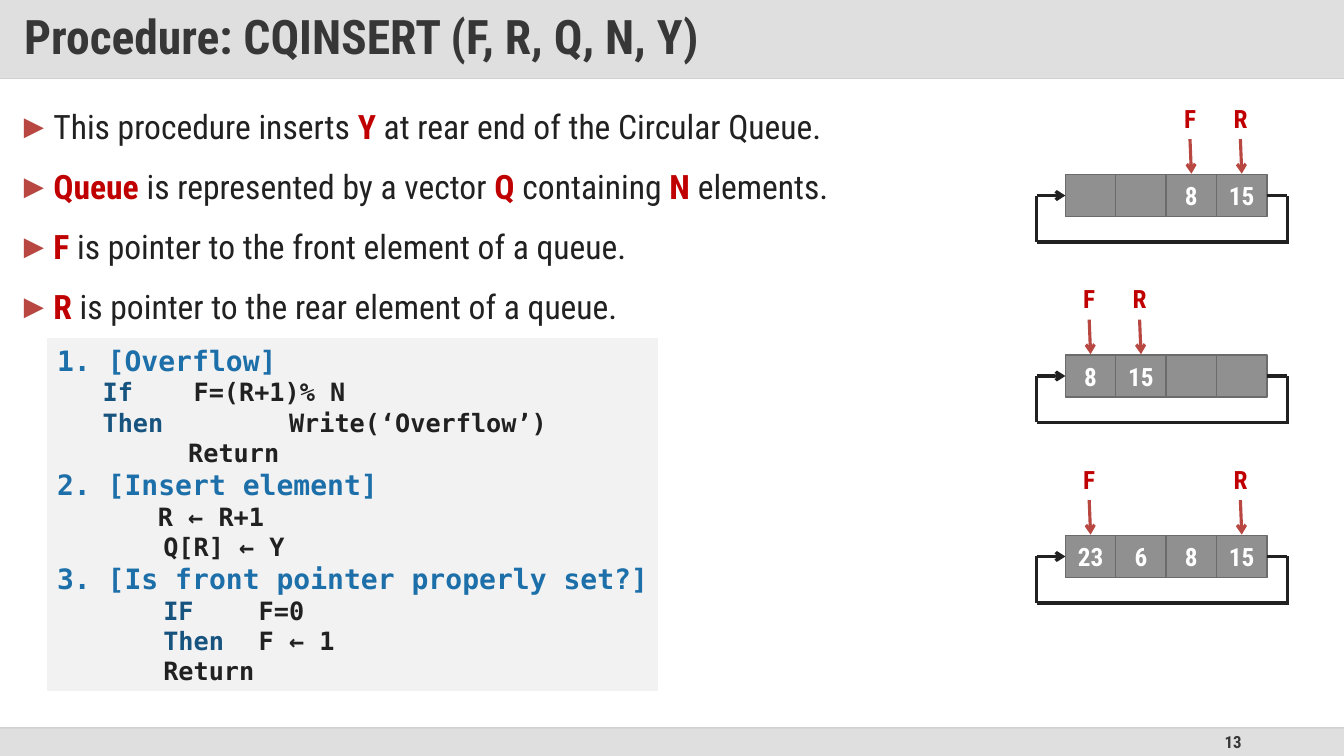
"""Build the slide on inserting into a circular queue."""
from lxml import etree
from pptx import Presentation
from pptx.dml.color import RGBColor
from pptx.enum.shapes import MSO_CONNECTOR, MSO_SHAPE
from pptx.enum.text import MSO_ANCHOR, PP_ALIGN
from pptx.oxml.ns import qn
from pptx.util import Pt

RECT = MSO_SHAPE.RECTANGLE
ROUND = MSO_SHAPE.ROUNDED_RECTANGLE
STRAIGHT = MSO_CONNECTOR.STRAIGHT
TOP, MIDDLE = MSO_ANCHOR.TOP, MSO_ANCHOR.MIDDLE
LEFT, CENTER = PP_ALIGN.LEFT, PP_ALIGN.CENTER
RIGHT, FULL = PP_ALIGN.RIGHT, PP_ALIGN.JUSTIFY

WHITE = RGBColor(0xFF, 0xFF, 0xFF)
PALE = RGBColor(0xF2, 0xF2, 0xF2)
BAR = RGBColor(0xDF, 0xDF, 0xDF)
RULE = RGBColor(0xD9, 0xD9, 0xD9)
SILVER = RGBColor(0xC0, 0xC0, 0xC0)
ASH = RGBColor(0xBF, 0xBF, 0xBF)
GRAY = RGBColor(0x90, 0x90, 0x90)
EDGE = RGBColor(0x6B, 0x6B, 0x6B)
DARK = RGBColor(0x37, 0x37, 0x37)
INK = RGBColor(0x21, 0x21, 0x21)
RED = RGBColor(0xC0, 0x00, 0x00)
BRICK = RGBColor(0xB8, 0x47, 0x42)
BLUE = RGBColor(0x1D, 0x6F, 0xA9)
NAVY = RGBColor(0x16, 0x53, 0x7F)
SANS, MONO = "Roboto Condensed", "DejaVu Sans Mono"

POINTS = [
    "This procedure inserts *Y* at rear end of the Circular Queue.",
    "*Queue *is represented by a vector *Q *containing *N *elements.",
    "*F *is pointer to the front element of a queue.",
    "*R *is pointer to the rear element of a queue.",
]
CODE = [
    "1. [Overflow]",
    "   *If*    F=(R+1)% N",
    "   *Then*\t  Write(‘Overflow’)",
    "\t  Return",
    "2. [Insert element]",
    "\tR ← R+1",
    "       Q[R] ← Y",
    "3. [Is front pointer properly set?]",
    "       *IF* \tF=0",
    "       *Then*\tF ← 1",
    "       Return",
]
RINGS = [
    (["", "", "8", "15"], 2, 3),
    (["8", "15", "", ""], 0, 1),
    (["23", "6", "8", "15"], 0, 3),
]


def write(para, text, size, color, face=SANS, bold=True, mark=RED):
    """Fill a paragraph; text between asterisks is bold in the mark colour."""
    for i, part in enumerate(text.split("*")):
        if part:
            run = para.add_run()
            run.text = part
            font = run.font
            font.name, font.size = face, Pt(size)
            font.bold = bold or i % 2 == 1
            font.color.rgb = mark if i % 2 else color


def draw(home, start, end, color, width, arrow=False):
    """Draw a straight line, with an arrowhead at its end if asked."""
    line = home.add_connector(STRAIGHT, *map(Pt, start + end))
    line.line.color.rgb = color
    line.line.width = Pt(width)
    if arrow:
        tip = etree.SubElement(line.line._get_or_add_ln(), qn("a:tailEnd"))
        tip.set("type", "arrow")
    etree.SubElement(line.element.spPr, qn("a:effectLst"))
    return line


prs = Presentation()
prs.slide_width, prs.slide_height = Pt(960), Pt(540)
slide = prs.slides.add_slide(prs.slide_layouts[6])
shapes = slide.shapes

foot = shapes.add_shape(ROUND, Pt(0), Pt(519.84), Pt(960), Pt(20.16))
foot.adjustments[0] = 0
page = shapes.add_textbox(Pt(678), Pt(519.84), Pt(216), Pt(20.16))
page.text_frame.vertical_anchor = MIDDLE
page.text_frame.word_wrap = True
para = page.text_frame.paragraphs[0]
para.alignment = RIGHT
write(para, "13", 12, DARK)
draw(shapes, (0, 56.2), (960, 56.2), RULE, 1)
base = draw(shapes, (0, 519.84), (960, 519.84), ASH, 1)

head = shapes.add_shape(RECT, Pt(0), Pt(0), Pt(960), Pt(56.2))
body = shapes.add_textbox(Pt(10), Pt(68), Pt(940), Pt(440))
panel = shapes.add_shape(RECT, Pt(33.7), Pt(241.5), Pt(436.3), Pt(252))
for box, color in ((foot, BAR), (head, SILVER), (panel, PALE)):
    box.shadow.inherit = False
    box.fill.solid()
    box.fill.fore_color.rgb = color
    box.line.fill.background()
for item, share in ((head, "50000"), (base, "70000")):
    tint = item.element.spPr.xpath(".//a:srgbClr")[0]
    etree.SubElement(tint, qn("a:alpha")).set("val", share)

frame = head.text_frame
frame.vertical_anchor = MIDDLE
frame.margin_left = frame.margin_right = Pt(17.28)
frame.margin_top = frame.margin_bottom = Pt(8.64)
para = frame.paragraphs[0]
para.alignment = LEFT
para.line_spacing = 0.9
write(para, "Procedure: CQINSERT (F, R, Q, N, Y)", 34, DARK)

frame = body.text_frame
frame.word_wrap = True
for i, text in enumerate(POINTS):
    para = frame.add_paragraph() if i else frame.paragraphs[0]
    para.alignment = FULL
    para.line_spacing = 1.14
    if i:
        para.space_before = Pt(10)
    props = para._p.get_or_add_pPr()
    props.set("marL", str(Pt(21)))
    props.set("indent", str(Pt(-21)))
    tint = etree.SubElement(props, qn("a:buClr"))
    etree.SubElement(tint, qn("a:srgbClr")).set("val", str(BRICK))
    etree.SubElement(props, qn("a:buFont")).set("typeface", MONO)
    etree.SubElement(props, qn("a:buChar")).set("char", "▶")
    write(para, text, 24, INK, bold=False)

frame = panel.text_frame
frame.vertical_anchor = TOP
frame.word_wrap = True
frame.margin_right = 0
for i, text in enumerate(CODE):
    para = frame.add_paragraph() if i else frame.paragraphs[0]
    para.alignment = LEFT
    if "\t" in text:
        tabs = etree.SubElement(para._p.get_or_add_pPr(), qn("a:tabLst"))
        for stop in (72, 144):
            tab = etree.SubElement(tabs, qn("a:tab"))
            tab.set("pos", str(Pt(stop)))
            tab.set("algn", "l")
    step = text[0].isdigit()
    write(para, text, 20 if step else 18, BLUE if step else INK, MONO, mark=NAVY)

CELL, TALL, SIDE = 36, 30.2, 761
for row, (items, front, rear) in enumerate(RINGS):
    top = 124.6 + 128.9 * row
    mid, low = top + TALL / 2, top + 48.3
    west, east = SIDE - 20.6, SIDE + 158.4
    ring = shapes.add_group_shape().shapes
    for col, item in enumerate(items):
        cell = ring.add_shape(RECT, Pt(SIDE + CELL * col), Pt(top), Pt(CELL), Pt(TALL))
        cell.shadow.inherit = False
        cell.fill.solid()
        cell.fill.fore_color.rgb = GRAY
        cell.line.color.rgb = EDGE
        cell.line.width = Pt(1)
        if item:
            cell.text_frame.vertical_anchor = MIDDLE
            para = cell.text_frame.paragraphs[0]
            para.alignment = CENTER
            write(para, item, 18, WHITE)
    draw(ring, (SIDE + 4 * CELL, mid), (east, mid), INK, 2.25)
    draw(ring, (east, mid), (east, low), INK, 2.25)
    draw(ring, (east + 1, low), (west, low), INK, 2.25)
    draw(ring, (west, low), (west, mid), INK, 2.25)
    draw(ring, (west, mid), (SIDE, mid), INK, 2.25, True)
    for name, spot in (("R", rear), ("F", front)):
        axis = SIDE + CELL * (spot + 0.5)
        label = ring.add_textbox(Pt(axis - 13), Pt(top - 54.6), Pt(24), Pt(29))
        label.text_frame.word_wrap = False
        para = label.text_frame.paragraphs[0]
        para.alignment = CENTER
        write(para, name, 18, RED)
        draw(ring, (axis - 1, top - 25.2), (axis, top - 0.5), BRICK, 2.25, True)

prs.save("out.pptx")
